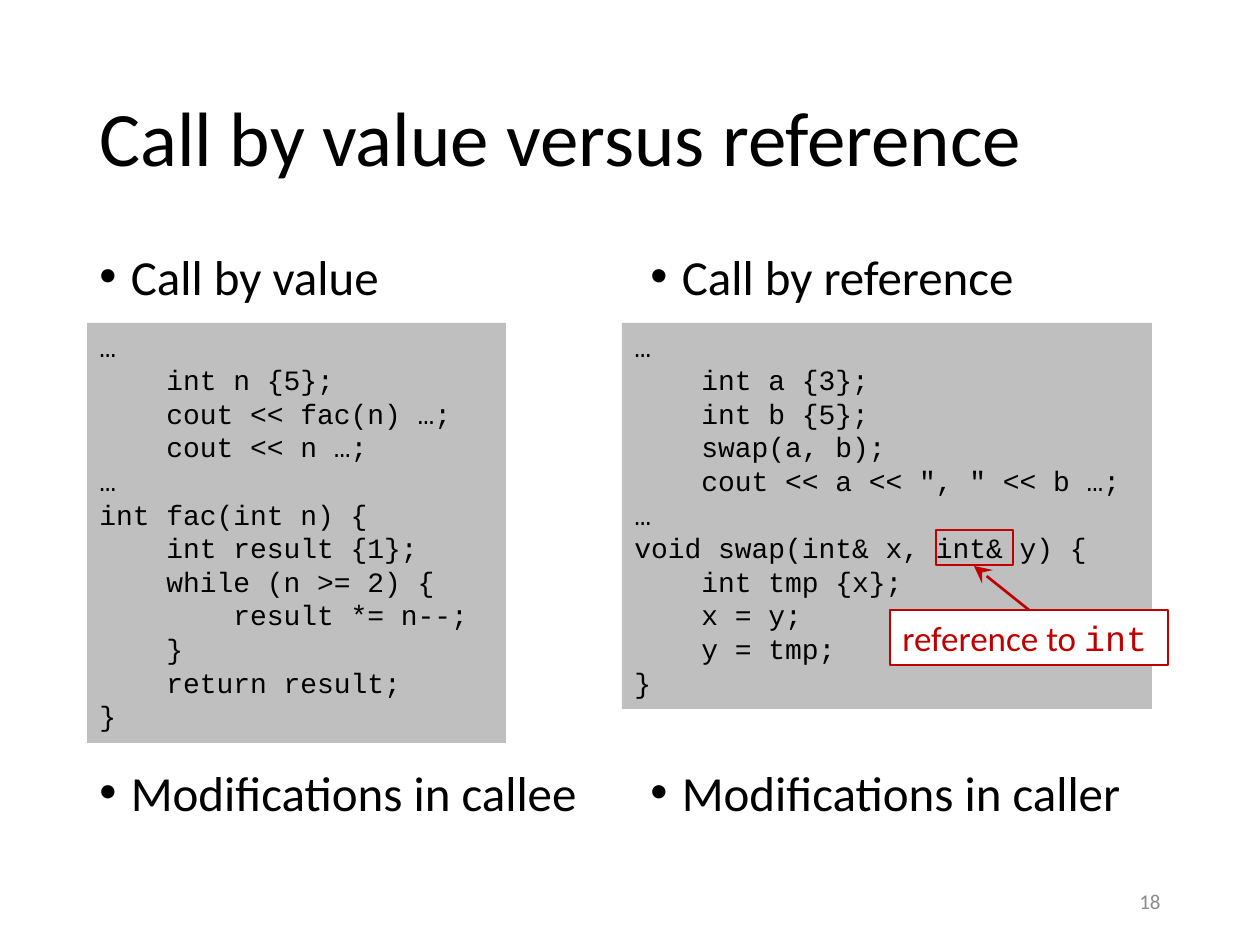
from lxml.etree import SubElement
from pptx import Presentation
from pptx.dml.color import RGBColor
from pptx.enum.shapes import MSO_CONNECTOR, MSO_SHAPE
from pptx.enum.text import MSO_ANCHOR as Anchor, PP_ALIGN as Align
from pptx.oxml.ns import qn
from pptx.util import Emu, Pt

SCALE = 914400 / 126
BLACK = RGBColor(0x00, 0x00, 0x00)
WHITE = RGBColor(0xFF, 0xFF, 0xFF)
GRAY = RGBColor(0xBF, 0xBF, 0xBF)
NUMBER_GRAY = RGBColor(0x8C, 0x8C, 0x8C)
RED = RGBColor(0xC0, 0x00, 0x00)
SANS = "Calibri"
MONO = "Courier New"

VALUE_CODE = """…
    int n {5};
    cout << fac(n) …;
    cout << n …;
…
int fac(int n) {
    int result {1};
    while (n >= 2) {
        result *= n--;
    }
    return result;
}"""

REFERENCE_CODE = """…
    int a {3};
    int b {5};
    swap(a, b);
    cout << a << ", " << b …;
…
void swap(int& x, int& y) {
    int tmp {x};
    x = y;
    y = tmp;
}"""


def px(*lengths):
    """Turn pixel lengths into EMU."""
    return [Emu(round(length * SCALE)) for length in lengths]


def set_format(target, **values):
    """Set each given attribute on the target."""
    for name, value in values.items():
        setattr(target, name, value)


def add_run(paragraph, text, size, color=BLACK, name=SANS):
    """Add a run in the given font."""
    run = paragraph.add_run()
    run.text = text
    set_format(run.font, size=Pt(size), name=name)
    run.font.color.rgb = color


def add_text(slide, box, text, size, color=BLACK, anchor=Anchor.MIDDLE, **layout):
    """Add a wrapped text box with one paragraph."""
    frame = slide.shapes.add_textbox(*px(*box)).text_frame
    set_format(frame, word_wrap=True, vertical_anchor=anchor)
    paragraph = frame.paragraphs[0]
    set_format(paragraph, **layout)
    add_run(paragraph, text, size, color)
    return frame


def add_bullet(paragraph):
    """Give a paragraph a hanging round bullet."""
    properties = paragraph._p.get_or_add_pPr()
    indent = Emu(228600)
    properties.set("marL", str(indent))
    properties.set("indent", str(-indent))
    SubElement(properties, qn("a:buFont"), typeface="Arial")
    SubElement(properties, qn("a:buChar"), char="•")


def add_bullet_column(slide, left, first, second):
    """Add two bullets with room for a code panel between them."""
    frame = add_text(slide, (left, 252, 536, 600), first, 28,
                     anchor=Anchor.TOP, line_spacing=0.8)
    paragraph = frame.add_paragraph()
    set_format(paragraph, line_spacing=0.8, space_before=Pt(268))
    add_run(paragraph, second, 28)
    for paragraph in frame.paragraphs:
        add_bullet(paragraph)


def add_rectangle(slide, box, fill=None, line=None):
    """Add a flat rectangle with optional fill and outline."""
    shape = slide.shapes.add_shape(MSO_SHAPE.RECTANGLE, *px(*box))
    shape.shadow.inherit = False
    for part, color in ((shape.fill, fill), (shape.line.fill, line)):
        if color is None:
            part.background()
        else:
            part.solid()
            part.fore_color.rgb = color
    if line is not None:
        shape.line.width = Pt(1.5)
    return shape


def add_code(slide, box, code):
    """Add a gray panel with one paragraph per code line."""
    frame = add_rectangle(slide, box, fill=GRAY).text_frame
    set_format(frame, word_wrap=False, vertical_anchor=Anchor.TOP)
    for index, line in enumerate(code.splitlines()):
        paragraph = frame.add_paragraph() if index else frame.paragraphs[0]
        paragraph.alignment = Align.LEFT
        add_run(paragraph, line, 16, name=MONO)


def add_callout(slide, box):
    """Add the outlined label that explains the parameter type."""
    frame = add_rectangle(slide, box, WHITE, RED).text_frame
    set_format(frame, word_wrap=False, vertical_anchor=Anchor.TOP)
    paragraph = frame.paragraphs[0]
    paragraph.alignment = Align.LEFT
    add_run(paragraph, "reference to ", 20, RED)
    add_run(paragraph, "int", 20, RED, MONO)


def add_arrow(slide, *ends):
    """Add a red line with a stealth head at its end."""
    arrow = slide.shapes.add_connector(MSO_CONNECTOR.STRAIGHT, *px(*ends))
    arrow.line.color.rgb = RED
    arrow.line.width = Pt(1.5)
    SubElement(arrow.line._get_or_add_ln(), qn("a:tailEnd"), type="stealth", w="lg", len="lg")
    SubElement(arrow._element.spPr, qn("a:effectLst"))


def main():
    """Build the slide and save it."""
    presentation = Presentation()
    width, height = px(1260, 945)
    set_format(presentation, slide_width=width, slide_height=height)
    slide = presentation.slides.add_slide(presentation.slide_layouts[6])

    add_text(slide, (87, 50, 1086, 183), "Call by value versus reference", 44,
             line_spacing=0.9)
    add_bullet_column(slide, 87, "Call by value", "Modifications in callee")
    add_bullet_column(slide, 638, "Call by reference", "Modifications in caller")
    add_text(slide, (890, 876, 283, 50), "18", 12, NUMBER_GRAY, alignment=Align.RIGHT)

    add_code(slide, (87, 323, 419, 420), VALUE_CODE)
    add_code(slide, (622, 323, 530, 386), REFERENCE_CODE)

    add_callout(slide, (890, 610, 278, 55))
    add_rectangle(slide, (936, 530, 77, 35), line=RED)
    add_arrow(slide, 1029, 610, 974, 566)
    presentation.save("out.pptx")


if __name__ == "__main__":
    main()
